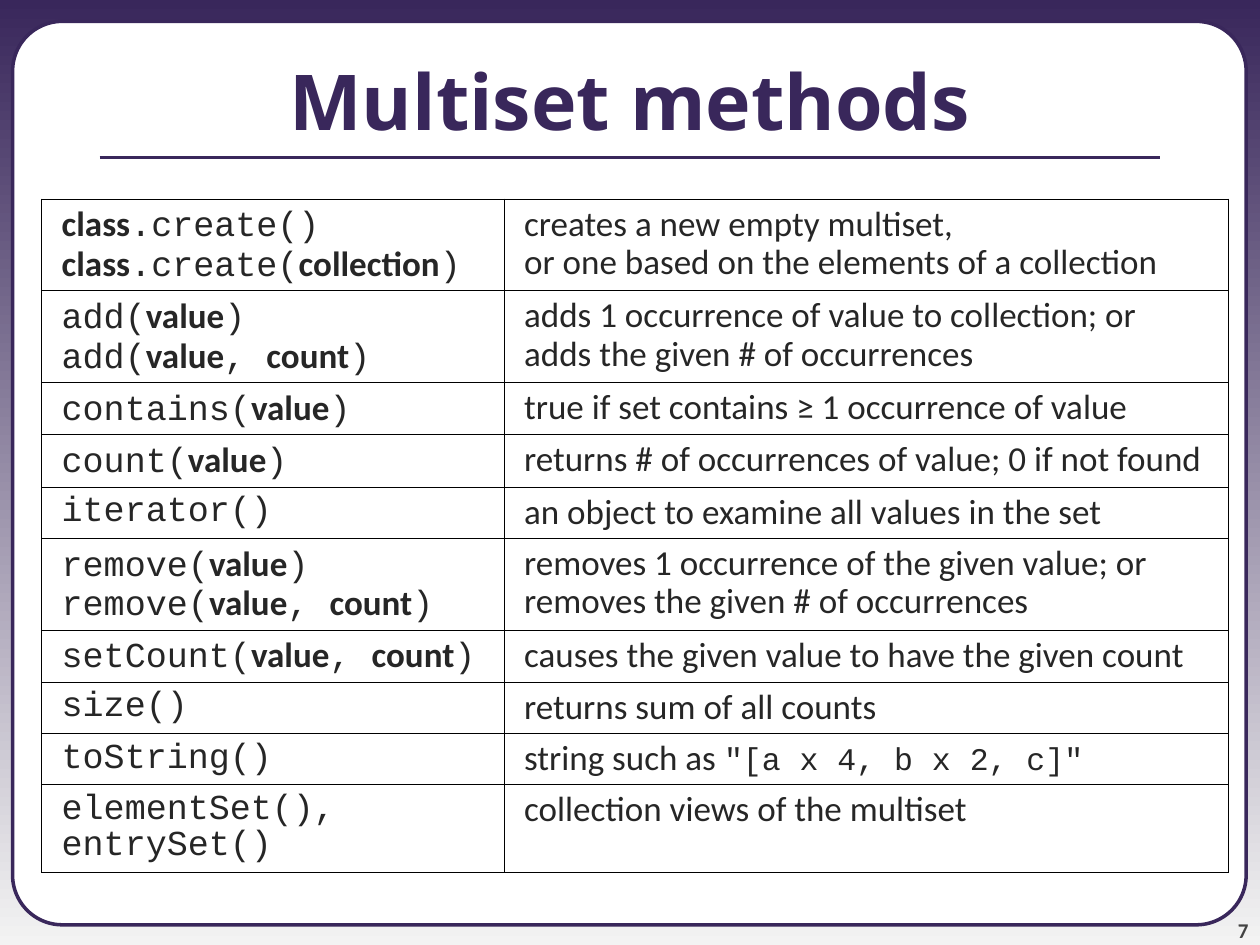
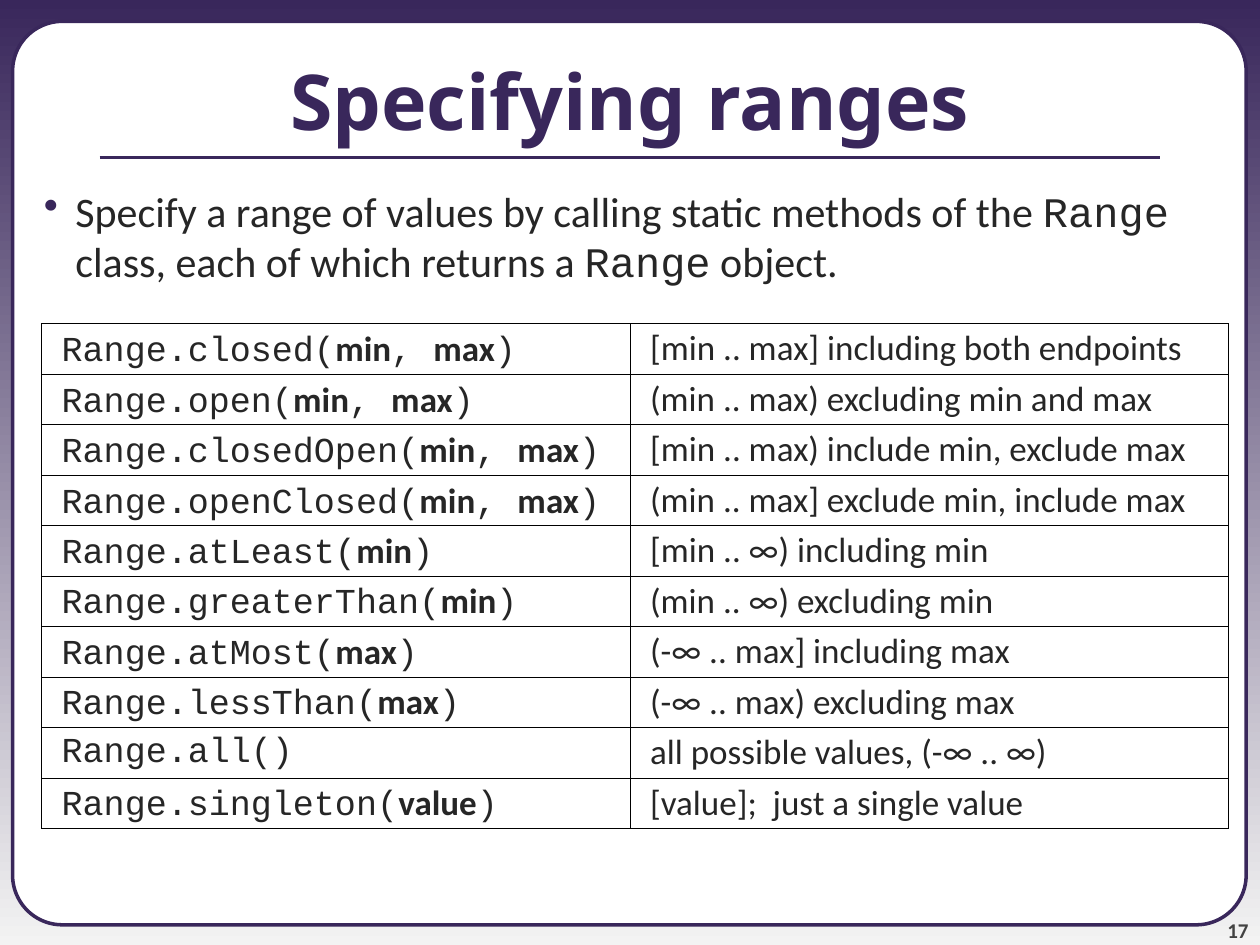
"""Build two reference slides on multiset methods and range factories."""
from lxml import etree
from pptx import Presentation
from pptx.dml.color import RGBColor
from pptx.enum import shapes, text
from pptx.oxml import ns
from pptx.util import Inches, Pt

MULTISET_METHODS = [
    ("*class*.create()\n*class*.create(*collection*)",
     "creates a new empty multiset,\nor one based on the elements of a collection"),
    ("add(*value*)\nadd(*value*, *count*)",
     "adds 1 occurrence of value to collection; or\nadds the given # of occurrences"),
    ("contains(*value*)", "true if set contains ≥ 1 occurrence of value"),
    ("count(*value*)", "returns # of occurrences of value; 0 if not found"),
    ("iterator()", "an object to examine all values in the set"),
    ("remove(*value*)\nremove(*value*, *count*)",
     "removes 1 occurrence of the given value; or\nremoves the given # of occurrences"),
    ("setCount(*value*, *count*)", "causes the given value to have the given count"),
    ("size()", "returns sum of all counts"),
    ("toString()", 'string such as *"[a x 4, b x 2, c]"*'),
    ("elementSet(), entrySet()", "collection views of the multiset"),
]
RANGE_METHODS = [
    ("Range.closed(*min*, *max*)", "[min .. max] including both endpoints"),
    ("Range.open(*min*, *max*)", "(min .. max) excluding min and max"),
    ("Range.closedOpen(*min*, *max*)", "[min .. max) include min, exclude max"),
    ("Range.openClosed(*min*, *max*)", "(min .. max] exclude min, include max"),
    ("Range.atLeast(*min*)", "[min .. ∞) including min"),
    ("Range.greaterThan(*min*)", "(min .. ∞) excluding min"),
    ("Range.atMost(*max*)", "(-∞ .. max] including max"),
    ("Range.lessThan(*max*)", "(-∞ .. max) excluding max"),
    ("Range.all()", "all possible values, (-∞ .. ∞)"),
    ("Range.singleton(*value*)", "[value];  just a single value"),
]
SLIDES = [
    {"title": "Multiset methods", "number": "7", "intro": None, "rows": MULTISET_METHODS,
     "top": 1.58, "columns": (3.67, 5.75), "tall_rows": (0, 1, 5, 9)},
    {"title": "Specifying ranges", "number": "17",
     "intro": "Specify a range of values by calling static methods of the *Range* class, "
              "each of which returns a *Range* object.",
     "rows": RANGE_METHODS, "top": 2.57, "columns": (4.67, 4.75), "tall_rows": ()},
]

PURPLE = RGBColor(0x39, 0x27, 0x5B)
PALE = RGBColor(0xF3, 0xF3, 0xF3)
WHITE = RGBColor(0xFF, 0xFF, 0xFF)
INK = RGBColor(0x26, 0x26, 0x26)
GREY = RGBColor(0x42, 0x42, 0x42)
BORDER = RGBColor(0, 0, 0)

TITLE_FONT, BODY_FONT, CODE_FONT = "Noto Sans", "Calibri", "Courier New"
CELL_STYLES = [
    ((CODE_FONT, 20, False), (BODY_FONT, 20, True)),
    ((BODY_FONT, 20, False), (CODE_FONT, 18, False)),
]
INTRO_STYLES = ((BODY_FONT, 24, False), (CODE_FONT, 24, False))
TABLE_LEFT = 0.33
ROW_HEIGHT, TALL_ROW_HEIGHT = 0.4, 0.7


def inches(*lengths):
    return [Inches(length) for length in lengths]


def format_font(font, name, size, color, bold=False):
    font.name, font.size, font.bold = name, Pt(size), bold
    font.color.rgb = color


def write_spans(para, marked_text, styles):
    """Write text whose asterisks switch between two styles."""
    for index, line in enumerate(marked_text.split("\n")):
        if index:
            para.add_line_break()
        for position, part in enumerate(line.split("*")):
            if part:
                span = para.add_run()
                span.text = part
                name, size, bold = styles[position % 2]
                format_font(span.font, name, size, INK, bold)


def set_background(master):
    fill = master.background.fill
    fill.gradient()
    fill.gradient_angle = 270
    for stop, color, position in zip(fill.gradient_stops, (PURPLE, PALE), (0, 1)):
        stop.color.rgb, stop.position = color, position


def add_frame(page):
    frame = page.shapes.add_shape(shapes.MSO_SHAPE.ROUNDED_RECTANGLE,
                                  *inches(0.1, 0.17, 9.79, 7.17))
    frame.adjustments[0] = 0.055
    frame.shadow.inherit = False
    frame.fill.solid()
    frame.fill.fore_color.rgb = WHITE
    frame.line.color.rgb, frame.line.width = PURPLE, Pt(2)
    rule = page.shapes.add_connector(shapes.MSO_CONNECTOR.STRAIGHT,
                                     *inches(0.79, 1.25, 9.21, 1.25))
    rule.line.color.rgb, rule.line.width = PURPLE, Pt(2.25)
    etree.SubElement(rule._element.spPr, ns.qn("a:effectLst"))


def add_number(page, number):
    frame = page.shapes.add_textbox(*inches(9.08, 7.08, 0.83, 0.4)).text_frame
    frame.margin_left = frame.margin_right = frame.margin_top = frame.margin_bottom = 0
    frame.word_wrap = True
    frame.vertical_anchor = text.MSO_ANCHOR.BOTTOM
    frame.text = number
    para = frame.paragraphs[0]
    para.alignment = text.PP_ALIGN.RIGHT
    format_font(para.runs[0].font, BODY_FONT, 12, GREY, True)


def set_title(page, title_text):
    title = page.shapes.title
    title.left, title.top, title.width, title.height = inches(0, 0.17, 10, 1.25)
    frame = title.text_frame
    frame.text = title_text
    frame.auto_size = text.MSO_AUTO_SIZE.NONE
    frame.vertical_anchor = text.MSO_ANCHOR.MIDDLE
    para = frame.paragraphs[0]
    para.alignment = text.PP_ALIGN.CENTER
    format_font(para.runs[0].font, TITLE_FONT, 44, PURPLE, True)
    page.shapes._spTree.append(title._element)


def add_intro(page, intro):
    frame = page.shapes.add_textbox(*inches(0, 1.42, 10, 1.1)).text_frame
    frame.word_wrap = True
    para = frame.paragraphs[0]
    properties = para._p.get_or_add_pPr()
    properties.set("marL", str(Inches(0.5)))
    properties.set("indent", str(Inches(-0.25)))
    color = etree.SubElement(properties, ns.qn("a:buClr"))
    etree.SubElement(color, ns.qn("a:srgbClr"), val=str(PURPLE))
    etree.SubElement(properties, ns.qn("a:buChar"), char="•")
    write_spans(para, intro, INTRO_STYLES)


def format_cell(cell):
    properties = cell._tc.get_or_add_tcPr()
    for side in ("lnL", "lnR", "lnT", "lnB"):
        line = etree.SubElement(properties, ns.qn("a:" + side), w=str(Pt(0.45)))
        fill = etree.SubElement(line, ns.qn("a:solidFill"))
        etree.SubElement(fill, ns.qn("a:srgbClr"), val=str(BORDER))
    cell.fill.background()


def add_methods(page, rows, top, columns, tall_rows):
    heights = [TALL_ROW_HEIGHT if index in tall_rows else ROW_HEIGHT
               for index in range(len(rows))]
    table = page.shapes.add_table(len(rows), len(columns), *inches(
        TABLE_LEFT, top, sum(columns), sum(heights))).table
    table.first_row = table.horz_banding = False
    for column, width in zip(table.columns, columns):
        column.width = Inches(width)
    for row, height, entries in zip(table.rows, heights, rows):
        row.height = Inches(height)
        for cell, entry, styles in zip(row.cells, entries, CELL_STYLES):
            format_cell(cell)
            para = cell.text_frame.paragraphs[0]
            para.line_spacing = 0.9
            para._p.get_or_add_pPr().set("marL", str(Inches(0.06)))
            write_spans(para, entry, styles)


def main():
    deck = Presentation()
    deck.slide_width, deck.slide_height = inches(10, 7.5)
    set_background(deck.slide_master)
    for content in SLIDES:
        page = deck.slides.add_slide(deck.slide_layouts.get_by_name("Title Only"))
        add_frame(page)
        add_number(page, content["number"])
        set_title(page, content["title"])
        if content["intro"]:
            add_intro(page, content["intro"])
        add_methods(page, content["rows"], content["top"], content["columns"],
                    content["tall_rows"])
    deck.save("out.pptx")


if __name__ == "__main__":
    main()
